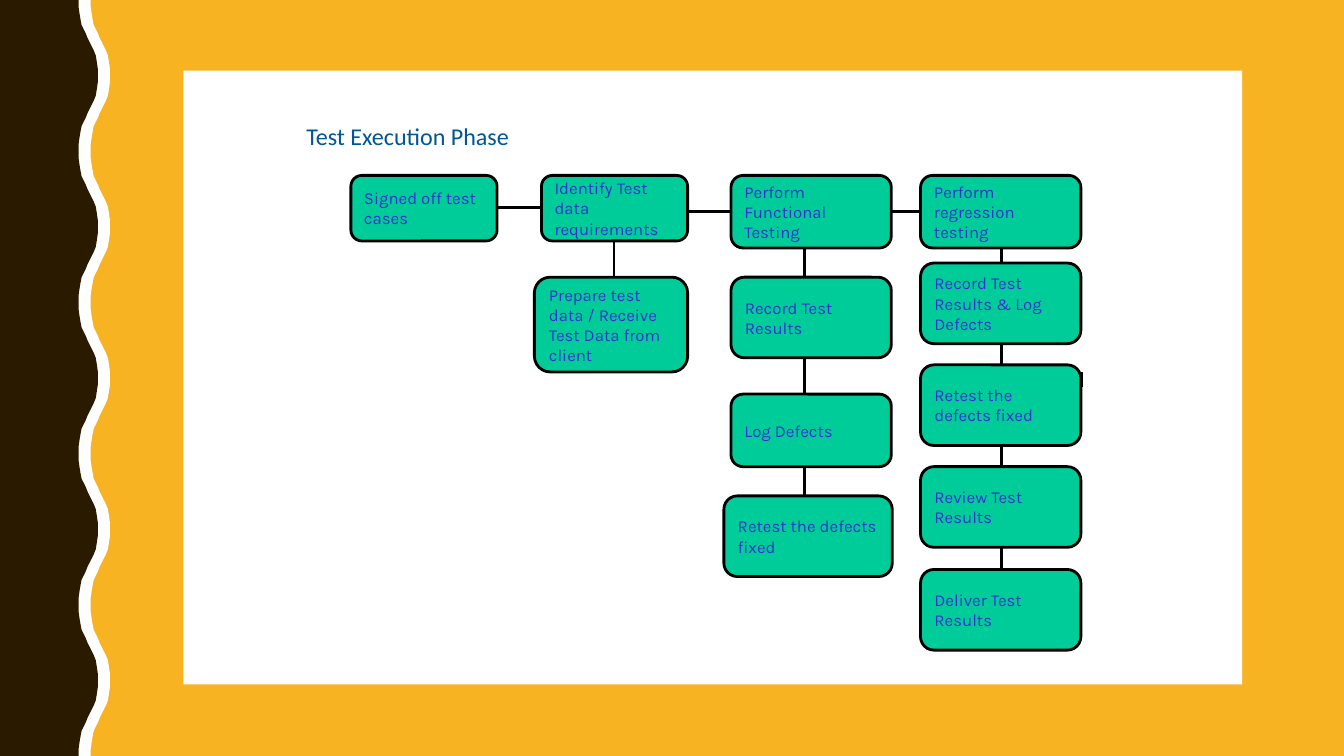
from itertools import pairwise

from pptx import Presentation
from pptx.dml.color import RGBColor
from pptx.enum.shapes import MSO_CONNECTOR as Connector, MSO_SHAPE as Shape
from pptx.enum.text import MSO_ANCHOR as Anchor, PP_ALIGN as Align
from pptx.oxml import parse_xml
from pptx.oxml.ns import nsdecls
from pptx.util import Pt

PX = 9144  # EMU per px, 100 px to the inch
WIDTH, HEIGHT = 1333, 750

PAPER = RGBColor(0xF3, 0xF3, 0xF2)
AMBER = RGBColor(0xF8, 0xB3, 0x23)
BROWN = RGBColor(0x2A, 0x1A, 0x00)
WHITE = RGBColor(0xFF, 0xFF, 0xFF)
GREEN = RGBColor(0x00, 0xCC, 0x99)
BLACK = RGBColor(0x00, 0x00, 0x00)
INDIGO = RGBColor(0x33, 0x33, 0xCC)
BLUE = RGBColor(0x00, 0x57, 0x95)

# Half a wave of the left border: offset to the right, distance down
WAVE_PERIOD = 150
HALF_WAVE = [(0, 0), (0, 7), (1, 14), (2, 20), (3, 25), (5, 29), (7, 33), (9, 38),
             (11, 42), (13, 46), (15, 50), (17, 55), (18, 61), (19, 68), (19, 75)]

# Each column: x of its vertical line, then boxes as (left, top, width, height, text)
COLUMNS = [
    (420, [(348, 174, 145, 65, "Signed off test cases")]),
    (609, [(537, 174, 145, 65, "Identify Test data requirements"),
           (530, 275, 152, 94, "Prepare test data / Receive Test Data from client")]),
    (798, [(725, 174, 159, 72, "Perform Functional Testing"),
           (725, 275, 159, 80, "Record Test Results"),
           (725, 391, 159, 72, "Log Defects"),
           (718, 492, 167, 80, "Retest the defects fixed")]),
    (993, [(913, 174, 159, 72, "Perform regression testing"),
           (913, 261, 159, 80, "Record Test Results & Log Defects"),
           (913, 362, 159, 80, "Retest the defects fixed"),
           (913, 463, 159, 80, "Review Test Results"),
           (913, 565, 159, 80, "Deliver Test Results")]),
]


def write(shape, text, *, font, size, color):
    frame = shape.text_frame
    frame.word_wrap = True
    frame.vertical_anchor = Anchor.MIDDLE
    paragraph = frame.paragraphs[0]
    paragraph.alignment = Align.LEFT
    paragraph.space_after = Pt(6)
    run = paragraph.add_run()
    run.text = text
    run.font.name = font
    run.font.size = Pt(size)
    run.font.color.rgb = color


class FlowSlide:
    line_width = Pt(2)

    def __init__(self, presentation):
        self.slide = presentation.slides.add_slide(presentation.slide_layouts[6])
        self.shapes = self.slide.shapes

    def background(self, color):
        fill = self.slide.background.fill
        fill.solid()
        fill.fore_color.rgb = color

    def paint(self, shape, fill, outline=None):
        shape.shadow.inherit = False
        shape.fill.solid()
        shape.fill.fore_color.rgb = fill
        if outline is None:
            shape.line.fill.background()
        else:
            shape.line.color.rgb = outline
            shape.line.width = self.line_width

    def panel(self, left, top, width, height, color):
        shape = self.shapes.add_shape(
            Shape.RECTANGLE, left * PX, top * PX, width * PX, height * PX)
        self.paint(shape, color)

    def wavy_band(self, left, crest, color):
        mirrored = [(x, WAVE_PERIOD - y) for x, y in reversed(HALF_WAVE[1:-1])]
        edge = [(crest + x, start + y)
                for start in range(0, HEIGHT, WAVE_PERIOD)
                for x, y in HALF_WAVE + mirrored]
        builder = self.shapes.build_freeform(left, 0, scale=PX)
        builder.add_line_segments(edge + [(crest, HEIGHT), (left, HEIGHT)], close=True)
        self.paint(builder.convert_to_shape(), color)

    def line(self, x1, y1, x2, y2):
        connector = self.shapes.add_connector(
            Connector.STRAIGHT, x1 * PX, y1 * PX, x2 * PX, y2 * PX)
        connector.line.color.rgb = BLACK
        connector.line.width = self.line_width
        connector._element.spPr.append(parse_xml(f"<a:effectLst {nsdecls('a')}/>"))

    def step(self, left, top, width, height, text):
        shape = self.shapes.add_shape(
            Shape.FLOWCHART_ALTERNATE_PROCESS,
            left * PX, top * PX, width * PX, height * PX)
        self.paint(shape, GREEN, BLACK)
        write(shape, text, font="Karla", size=12, color=INDIGO)

    def title(self, left, top, width, height, text):
        box = self.shapes.add_textbox(left * PX, top * PX, width * PX, height * PX)
        write(box, text, font="Calibri", size=17.2, color=BLUE)


def main():
    presentation = Presentation()
    presentation.slide_width = WIDTH * PX
    presentation.slide_height = HEIGHT * PX
    flow = FlowSlide(presentation)

    # Backdrop with the wavy border and the white panel
    flow.background(PAPER)
    flow.panel(79, 0, WIDTH - 79, HEIGHT, AMBER)
    flow.wavy_band(12, 90, WHITE)
    flow.wavy_band(0, 78, BROWN)
    flow.panel(182, 70, 1050, 609, WHITE)

    # Lines between the heads of neighbouring columns
    heads = [boxes[0] for _, boxes in COLUMNS]
    for (left, _, width, *_), (next_left, top, _, height, _) in pairwise(heads):
        middle = top + height // 2
        flow.line(left + width, middle, next_left, middle)

    # Lines down each column, and the short stub at the right edge
    for spine, boxes in COLUMNS:
        for (_, top, _, height, _), (_, next_top, *_) in pairwise(boxes):
            flow.line(spine, top + height, spine, next_top)
    flow.line(1073, 369, 1073, 384)

    # Steps
    for _, boxes in COLUMNS:
        for box in boxes:
            flow.step(*box)

    flow.title(294, 106, 803, 57, "Test Execution Phase")
    presentation.save("out.pptx")


if __name__ == "__main__":
    main()
